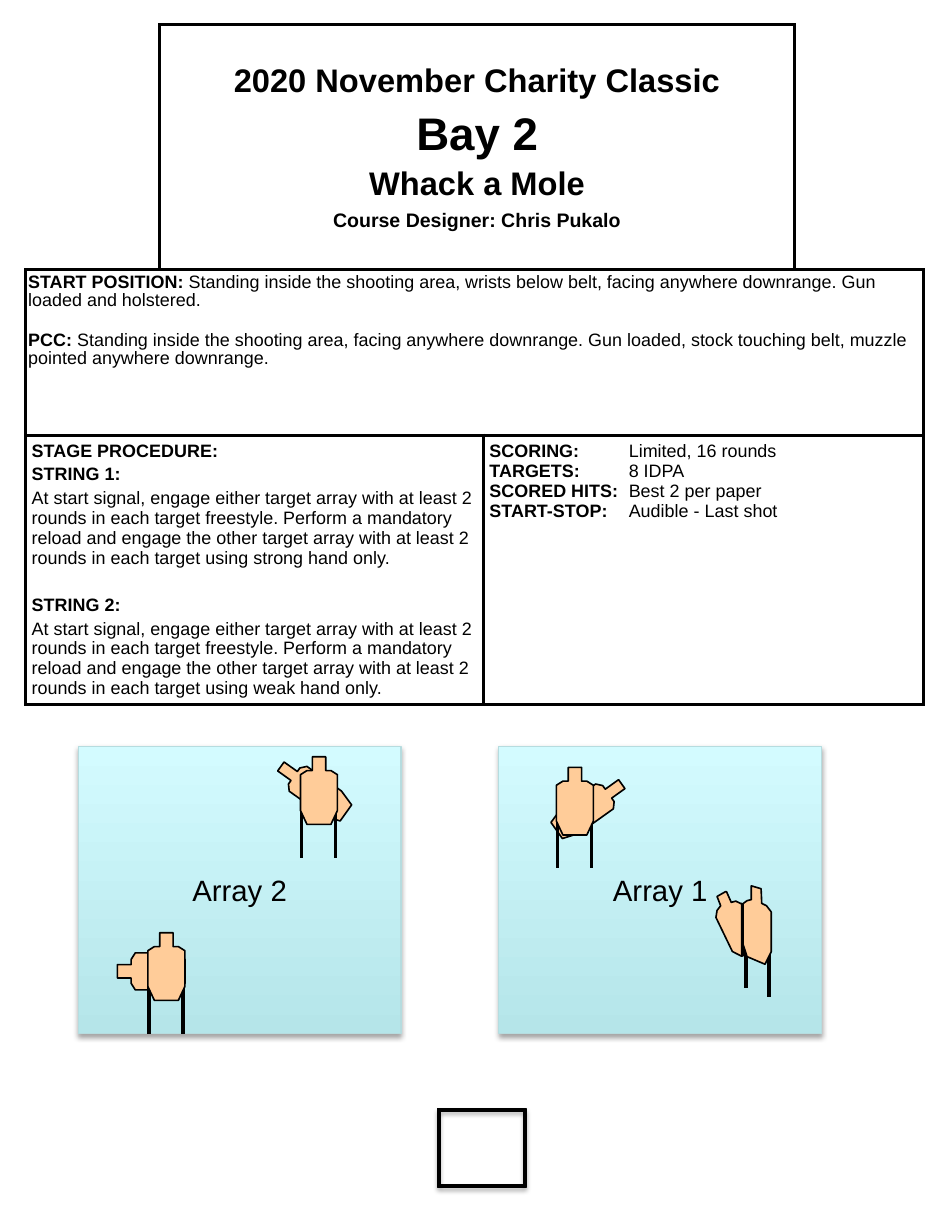
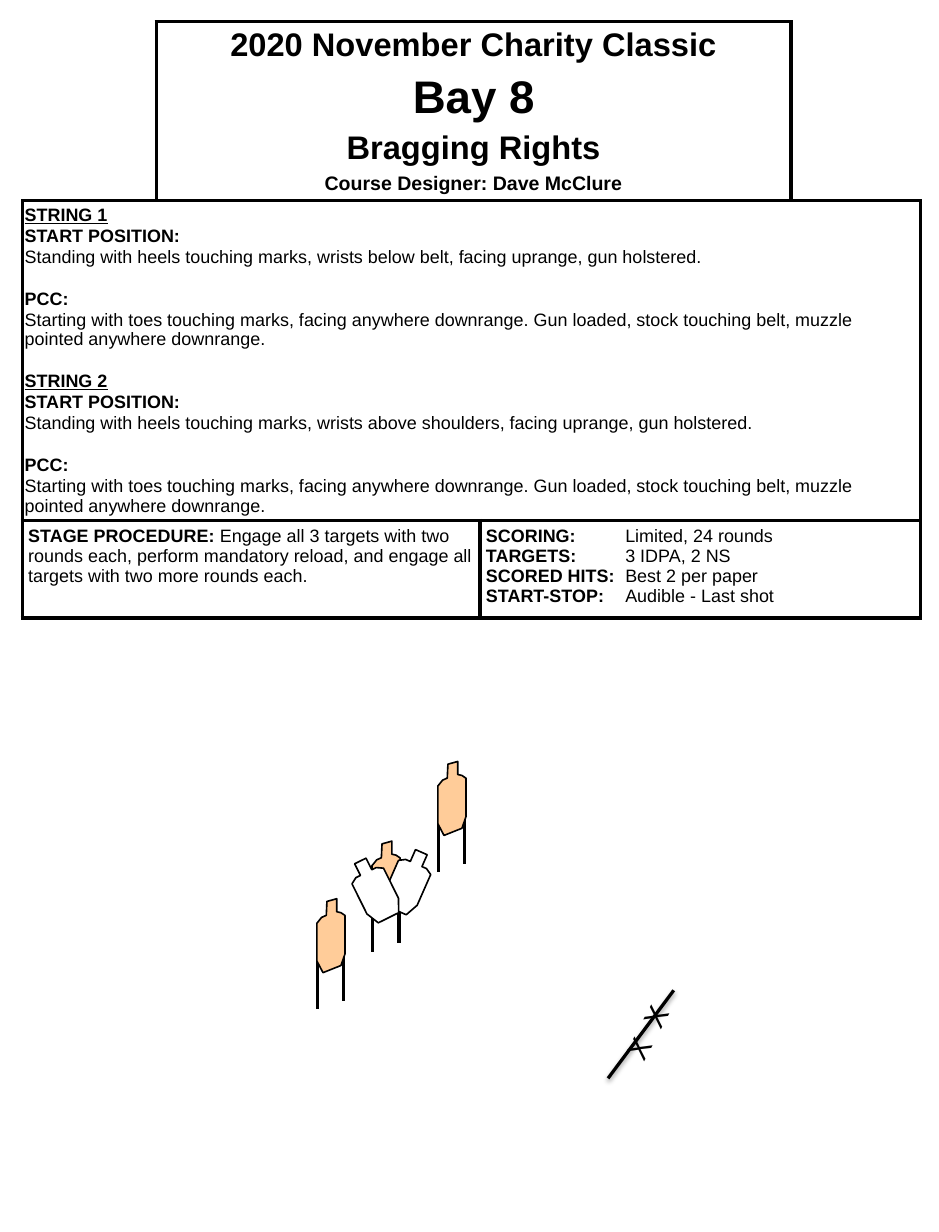
"""Build the two stage briefing sheets of a charity shooting match."""
import dataclasses

import pptx
import pptx.dml.color
import pptx.enum.shapes
import pptx.enum.text
import pptx.oxml.ns
import pptx.util
from lxml import etree

Pt = pptx.util.Pt
qn = pptx.oxml.ns.qn
SHAPES = pptx.enum.shapes.MSO_SHAPE
CENTER = pptx.enum.text.PP_ALIGN.CENTER
MIDDLE = pptx.enum.text.MSO_ANCHOR.MIDDLE


@dataclasses.dataclass(frozen=True)
class Theme:
    font: str = "Arial"
    ink: str = "000000"
    paper: str = "FFFFFF"
    cardboard: str = "FFCC99"
    array_edge: str = "B6DCDF"
    array_bottom: str = "B5E5E9"
    array_top: str = "D3FBFF"
    bay: float = 28
    heading: float = 20
    label: float = 18
    credit: float = 12
    body: float = 11
    border: float = 2.25


@dataclasses.dataclass(frozen=True)
class Line:
    lead: str = ""
    detail: str = ""
    gap: float = 0
    size: float = Theme.body
    underline: bool = False
    tab: float = 0


@dataclasses.dataclass(frozen=True)
class Silhouette:
    outline: tuple
    posts: tuple = ()


FRONT = Silhouette(
    ((7.3, 0), (15.5, 0), (15.5, 8.5), (18.7, 8.5), (22.7, 11), (22.7, 33),
     (18.7, 41.5), (4, 41.5), (0, 33), (0, 11), (4, 8.5), (7.3, 8.5)),
    ((0.7, 30.5, 62), (21.5, 30.5, 62)))
FRONT_BARE = dataclasses.replace(FRONT, posts=())
TURNED_LEFT = Silhouette(
    ((6.2, 1.7), (12.2, 0), (12.2, 8), (14.8, 8.6), (17.3, 10.3), (17.3, 33.8),
     (14.8, 41), (3.8, 45.4), (0, 38.2), (0, 15.1), (2.9, 11.5), (5.8, 10.2)),
    ((0.3, 36.7, 67.7), (16.4, 31.7, 62.6)))
TURNED_RIGHT = Silhouette(
    tuple((17.3 - x, y * 1.06) for x, y in TURNED_LEFT.outline),
    ((15.8, 30.5, 68), (2, 25, 62.5)))
LEANING = Silhouette(
    ((5.8, 0), (0.7, 2.9), (2.9, 8.6), (0.7, 11.5), (0, 15.8), (10.1, 36.7), (15.8, 39.6),
     (25.9, 34.6), (25.2, 25.9), (16.6, 7.9), (12.2, 5.8), (9.4, 6.5), (6.5, 0)))
SLIVER = Silhouette(((0, 31.7), (9.4, 26.6), (9.4, 18.7), (0, 0)))

COLUMNS = (82.08, 198.72, 190.8, 79.2)
SPANS = (((0, 0), (1, 2), (3, 3)), ((0, 3),), ((0, 1), (2, 3)))


def colour(code):
    return pptx.dml.color.RGBColor.from_string(code)


class Sheet:
    """Hold the theme and the current slide and draw elements on it."""

    def __init__(self, deck, theme):
        self.theme = theme
        self.slide = deck.slides.add_slide(deck.slide_layouts[6])

    def effects(self, shape, opacity=0, blur=3.1, distance=1.8):
        effects = shape.element.spPr.find(qn("a:effectLst"))
        if effects is None:
            effects = etree.SubElement(shape.element.spPr, qn("a:effectLst"))
        if opacity:
            shadow = etree.SubElement(effects, qn("a:outerShdw"), blurRad=str(Pt(blur)),
                                      dist=str(Pt(distance)), dir="5400000", rotWithShape="0")
            ink = etree.SubElement(shadow, qn("a:srgbClr"), val=self.theme.ink)
            etree.SubElement(ink, qn("a:alpha"), val=str(opacity * 1000))

    def outline(self, shape, code, width):
        shape.line.color.rgb = colour(code)
        shape.line.width = Pt(width)

    def set_lines(self, frame, lines, align=None, spacing=None):
        for index, line in enumerate(lines):
            para = frame.add_paragraph() if index else frame.paragraphs[0]
            if line.tab:
                tabs = etree.SubElement(para._p.get_or_add_pPr(), qn("a:tabLst"))
                etree.SubElement(tabs, qn("a:tab"), pos=str(Pt(line.tab)), algn="l")
            para.alignment = align
            para.line_spacing = spacing
            para.space_before = Pt(line.gap if index else 0)
            for text, bold in ((line.lead, True), (line.detail, False)):
                if text:
                    span = para.add_run()
                    span.text = text
                    span.font.name = self.theme.font
                    span.font.size = Pt(line.size)
                    span.font.bold = bold
                    span.font.underline = line.underline
                    span.font.color.rgb = colour(self.theme.ink)

    def border(self, cell, edges):
        properties = cell._tc.get_or_add_tcPr()
        for edge in edges:
            line = etree.SubElement(properties, qn(f"a:ln{edge}"), w=str(Pt(self.theme.border)))
            fill = etree.SubElement(line, qn("a:solidFill"))
            etree.SubElement(fill, qn("a:srgbClr"), val=self.theme.ink)
        cell.fill.solid()
        cell.fill.fore_color.rgb = colour(self.theme.paper)

    def briefing(self, left, top, heights, title, start, procedure, scoring, spacing=None):
        table = self.slide.shapes.add_table(
            len(heights), len(COLUMNS), Pt(left), Pt(top), Pt(sum(COLUMNS)), Pt(sum(heights))).table
        table.first_row = table.horz_banding = False
        for column, width in zip(table.columns, COLUMNS):
            column.width = Pt(width)
        for row, height in zip(table.rows, heights):
            row.height = Pt(height)
        for row, spans in enumerate(SPANS):
            for first, last in spans:
                if first < last:
                    table.cell(row, first).merge(table.cell(row, last))
                for column in range(first, last + 1):
                    edges = "LRTB" if column == first else "RTB" if column == last else "TB"
                    if row == 0 and first == last:
                        edges = "LB" if column else "RB"
                    self.border(table.cell(row, column), edges)
        contents = ((0, 1, title, 3.6, 3.6), (1, 0, start, 1.44, 2.88),
                    (2, 0, procedure, 3.6, 3.6), (2, 2, scoring, 3.6, 3.6))
        for row, column, lines, side, end in contents:
            cell = table.cell(row, column)
            cell.margin_left = cell.margin_right = Pt(side)
            cell.margin_top = cell.margin_bottom = Pt(end)
            self.set_lines(cell.text_frame, lines, CENTER if row == 0 else None,
                           spacing if row == 1 else None)
        table.cell(0, 1).vertical_anchor = MIDDLE

    def array(self, text, left, top=458, width=198, height=176.4):
        box = self.slide.shapes.add_shape(SHAPES.RECTANGLE, Pt(left), Pt(top), Pt(width), Pt(height))
        box.fill.gradient()
        box.fill.gradient_angle = 90
        for stop, code in zip(box.fill.gradient_stops, (self.theme.array_bottom, self.theme.array_top)):
            stop.color.rgb = colour(code)
        self.outline(box, self.theme.array_edge, 0.75)
        self.effects(box, 35)
        box.text_frame.vertical_anchor = MIDDLE
        self.set_lines(box.text_frame, [Line(detail=text, size=self.theme.label)], CENTER)

    def shooting_area(self, left, top, width, height):
        frame = self.slide.shapes.add_shape(SHAPES.FRAME, Pt(left), Pt(top), Pt(width), Pt(height))
        frame.adjustments[0] = 0.028
        frame.fill.solid()
        frame.fill.fore_color.rgb = colour(self.theme.ink)
        self.outline(frame, self.theme.ink, 0.75)
        self.effects(frame, 35)

    def line(self, start, end, width, opacity=0):
        line = self.slide.shapes.add_connector(
            pptx.enum.shapes.MSO_CONNECTOR.STRAIGHT, *map(Pt, start + end))
        self.outline(line, self.theme.ink, width)
        self.effects(line, opacity, distance=1.6)

    def target(self, silhouette, left, top, size=None, rotation=0, fill=None):
        for x, upper, lower in silhouette.posts:
            self.line((left + x, top + upper), (left + x, top + lower), self.theme.border)
        points = [(Pt(left + x), Pt(top + y)) for x, y in silhouette.outline]
        builder = self.slide.shapes.build_freeform(*points[0])
        builder.add_line_segments(points[1:], close=True)
        shape = builder.convert_to_shape()
        if size:
            shape.width, shape.height = map(Pt, size)
        shape.rotation = rotation
        shape.fill.solid()
        shape.fill.fore_color.rgb = colour(fill or self.theme.cardboard)
        self.outline(shape, self.theme.ink, 1)
        self.effects(shape)

    def marks(self, left, top, width, height, rotation):
        box = self.slide.shapes.add_textbox(Pt(left), Pt(top), Pt(width), Pt(height))
        box.rotation = rotation
        box.text_frame.word_wrap = True
        self.set_lines(box.text_frame, [Line(detail="X\tX", size=self.theme.label, tab=22)])


def title_lines(theme, bay, name, designer):
    return [Line("2020 November Charity Classic", size=theme.heading),
            Line(bay, gap=5.6, size=theme.bay),
            Line(name, gap=4, size=theme.heading),
            Line(f"Course Designer: {designer}", gap=4.2, size=theme.credit)]


def scoring_lines(rounds, targets):
    facts = (("SCORING:", f"Limited, {rounds} rounds"), ("TARGETS:", targets),
             ("SCORED HITS:", "Best 2 per paper"), ("START-STOP:", "Audible - Last shot"))
    return [Line(lead, f"\t{detail}", tab=85.5) for lead, detail in facts]


def whack_a_mole(deck, theme):
    sheet = Sheet(deck, theme)
    sheet.array("Array 2", 48)
    sheet.array("Array 1", 306)
    start = [
        Line("START POSITION:", " Standing inside the shooting area, wrists below belt, facing "
             "anywhere downrange. Gun loaded and holstered."),
        Line("PCC: ", "Standing inside the shooting area, facing anywhere downrange. Gun loaded, "
             "stock touching belt, muzzle pointed anywhere downrange.", gap=13.2)]
    procedure = [Line("STAGE PROCEDURE:")]
    for number, hand, gap in ((1, "strong", 2.2), (2, "weak", 16.7)):
        procedure += [
            Line(f"STRING {number}:", gap=gap),
            Line(detail="At start signal, engage either target array with at least 2 rounds in each "
                 "target freestyle. Perform a mandatory reload and engage the other target array "
                 f"with at least 2 rounds in each target using {hand} hand only.", gap=2.2)]
    sheet.briefing(15.84, 15.12, (150.5, 101.5, 165),
                   title_lines(theme, "Bay 2", "Whack a Mole", "Chris Pukalo"),
                   start, procedure, scoring_lines(16, "8 IDPA"), spacing=0.9)
    sheet.target(FRONT_BARE, 81.4, 575.3, rotation=270)
    sheet.shooting_area(268.6, 680.4, 54, 48.2)
    sheet.target(LEANING, 439.2, 547.2)
    sheet.target(SLIVER, 455, 554.4, fill=theme.ink)
    sheet.target(TURNED_RIGHT, 455.8, 543.6)
    sheet.target(FRONT_BARE, 352.1, 470.9, (18.7, 49), 54.5)
    sheet.target(FRONT, 341.3, 470.9)
    sheet.target(FRONT_BARE, 182.9, 460.1, (18.7, 49), 305.5)
    sheet.target(FRONT, 184.3, 464.4)
    sheet.target(FRONT, 90.7, 572.4)


def bragging_rights(deck, theme):
    sheet = Sheet(deck, theme)
    start = []
    for number, wrists in ((1, "below belt"), (2, "above shoulders")):
        start += [
            Line(f"STRING {number}", gap=13.4, underline=True),
            Line("START POSITION:", gap=0.55),
            Line(detail=f"Standing with heels touching marks, wrists {wrists}, facing uprange, "
                 "gun holstered.", gap=0.55),
            Line("PCC:", gap=13.4),
            Line(detail="Starting with toes touching marks, facing anywhere downrange. Gun loaded, "
                 "stock touching belt, muzzle pointed anywhere downrange.", gap=0.55)]
    procedure = [Line("STAGE PROCEDURE: ", "Engage all 3 targets with two rounds each, perform "
                      "mandatory reload, and engage all targets with two more rounds each.")]
    sheet.briefing(13.68, 12.96, (110, 196, 59.8),
                   title_lines(theme, "Bay 8", "Bragging Rights", "Dave McClure"),
                   start, procedure, scoring_lines(24, "3 IDPA, 2 NS"))
    sheet.target(TURNED_LEFT, 228.2, 516.2)
    sheet.target(FRONT_BARE, 239.8, 521.3, (21.6, 38.9), 23.7, theme.paper)
    sheet.target(FRONT_BARE, 218.9, 526.3, (21.6, 38.9), 333.6, theme.paper)
    sheet.target(TURNED_LEFT, 194.4, 551.5)
    sheet.target(TURNED_LEFT, 268.6, 467.3)
    sheet.line((413.3, 607.7), (373, 661.7), 2, 38)
    sheet.marks(370.8, 616.3, 54.7, 28.8, 297.9)


def main():
    deck = pptx.Presentation()
    deck.slide_width, deck.slide_height = Pt(576), Pt(756)
    theme = Theme()
    whack_a_mole(deck, theme)
    bragging_rights(deck, theme)
    deck.save("out.pptx")


if __name__ == "__main__":
    main()
